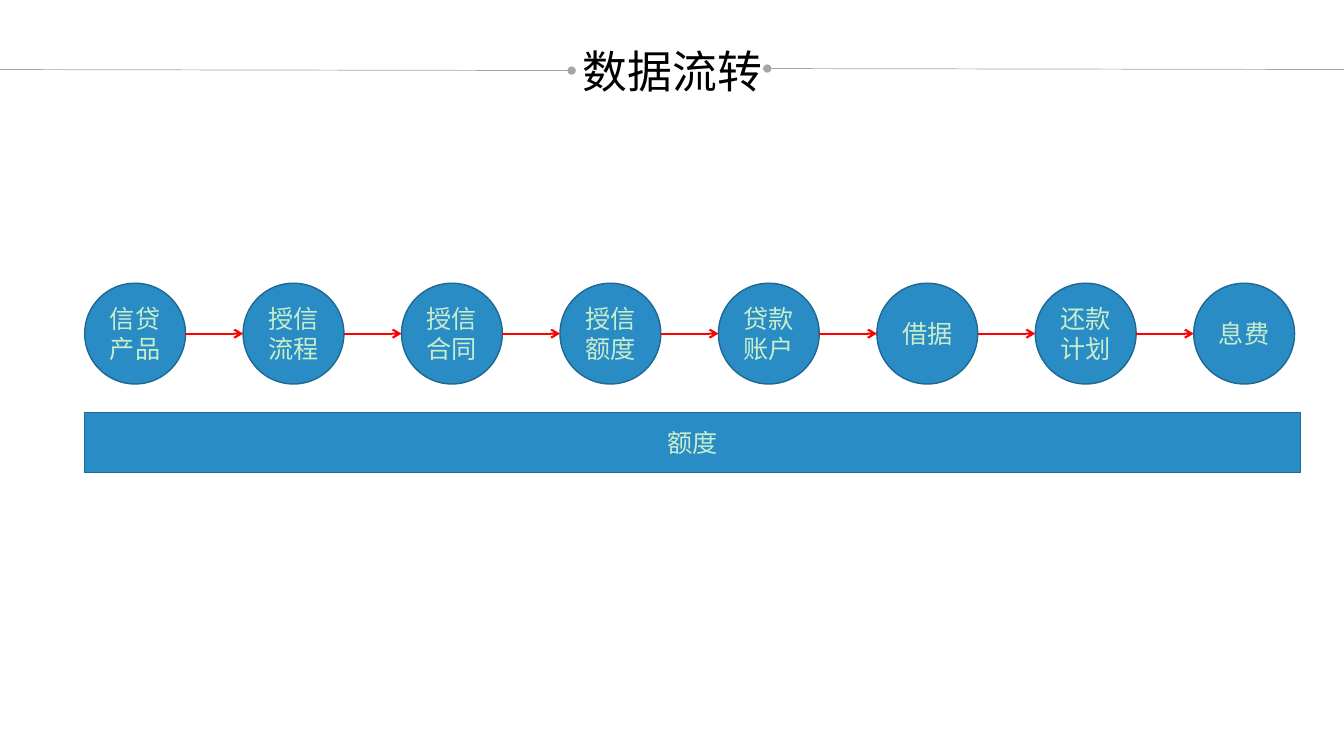
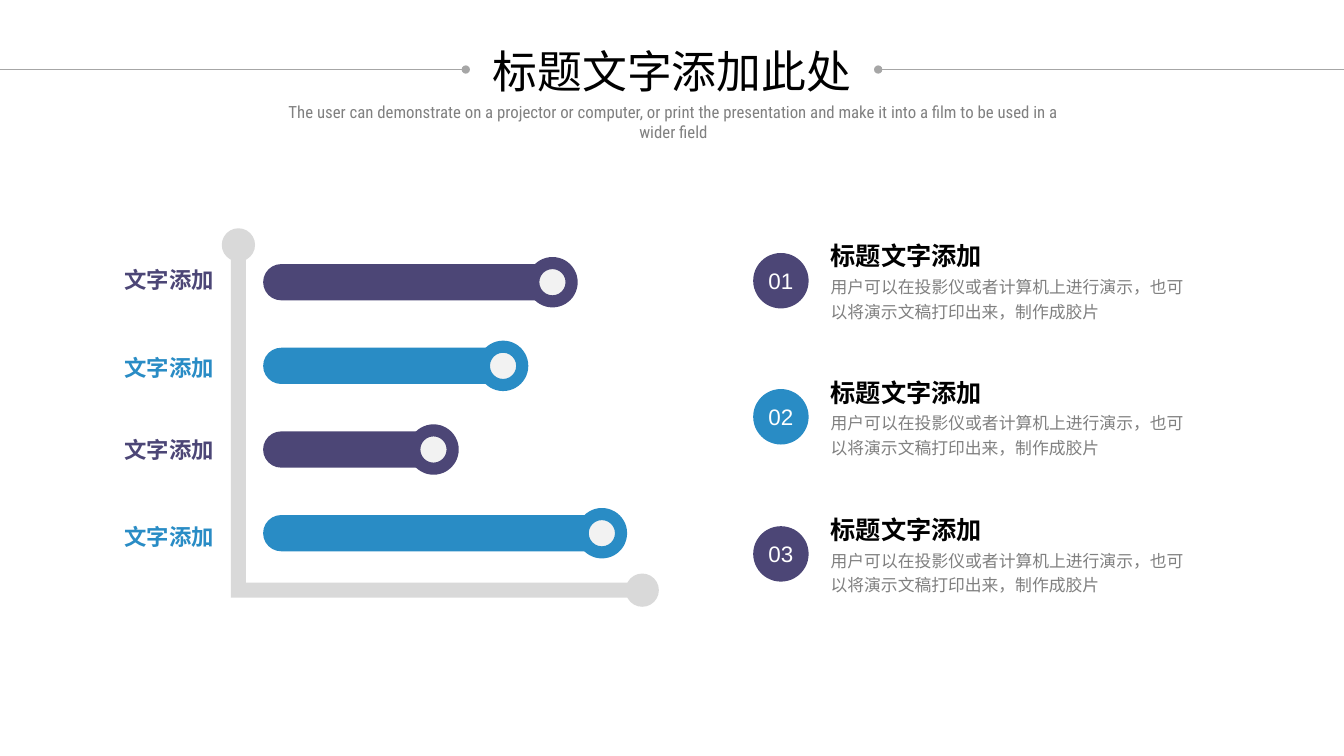
from dataclasses import dataclass
from typing import Optional

import lxml.etree
import pptx
import pptx.dml.color
import pptx.enum.shapes
import pptx.enum.text
import pptx.oxml.ns
import pptx.util

Inches = pptx.util.Inches
Pt = pptx.util.Pt
SHAPE = pptx.enum.shapes.MSO_SHAPE
ALIGN = pptx.enum.text.PP_ALIGN
ANCHOR = pptx.enum.text.MSO_ANCHOR

PURPLE, BLUE, DARK_BLUE = "4C4676", "298CC5", "1E6892"
PALE_GREEN, WHITE, BLACK = "C7EDCC", "FFFFFF", "000000"
RED, RULE_GRAY, AXIS_GRAY, TEXT_GRAY, KNOB_GRAY = "FF0000", "A6A6A6", "D9D9D9", "808080", "F2F2F2"
TITLE_FONT, BODY_FONT = "Roboto Condensed", "Arial"
SLIDE_W, SLIDE_H = 13.33, 7.5


@dataclass(frozen=True)
class Style:
    size: float
    color: str
    font: str = BODY_FONT
    bold: bool = False
    align: ALIGN = ALIGN.CENTER
    spacing: Optional[float] = None


@dataclass(frozen=True)
class Bar:
    label_top: float
    knob_x: float
    color: str


@dataclass(frozen=True)
class Item:
    number: str
    top: float
    color: str


TITLE = Style(32, BLACK, TITLE_FONT)
SUBTITLE = Style(12, TEXT_GRAY, TITLE_FONT)
STEP = Style(18, PALE_GREEN)
NUMBER = Style(16, WHITE)
HEADING = Style(18, BLACK, bold=True, align=ALIGN.JUSTIFY, spacing=1.2)
BODY = Style(12, TEXT_GRAY, align=ALIGN.JUSTIFY, spacing=1.2)

STEPS = ("信贷产品", "授信流程", "授信合同", "授信额度", "贷款账户", "借据", "还款计划", "息费")
BARS = (Bar(2.54, 5.48, PURPLE), Bar(3.41, 4.99, BLUE),
        Bar(4.22, 4.3, PURPLE), Bar(5.09, 5.97, BLUE))
ITEMS = (Item("01", 2.51, PURPLE), Item("02", 3.86, BLUE), Item("03", 5.22, PURPLE))
ITEM_TEXT = "用户可以在投影仪或者计算机上进行演示，也可以将演示文稿打印出来，制作成胶片"
SUBTITLE_TEXT = ("The user can demonstrate on a projector or computer, or print the presentation "
                 "and make it into a film to be used in a wider field")


def rgb(color: str) -> pptx.dml.color.RGBColor:
    return pptx.dml.color.RGBColor.from_string(color)


def write(sp, text: str, style: Style, wrap: bool = True) -> None:
    tf = sp.text_frame
    tf.text = text
    tf.word_wrap = wrap
    p = tf.paragraphs[0]
    p.alignment = style.align
    if style.spacing:
        p.line_spacing = style.spacing
    r = p.runs[0]
    r.font.size = Pt(style.size)
    r.font.name = style.font
    r.font.bold = style.bold
    r.font.color.rgb = rgb(style.color)


def add_text(s, left: float, top: float, width: float, height: float,
             text: str, style: Style, wrap: bool = True) -> None:
    sp = s.shapes.add_textbox(Inches(left), Inches(top), Inches(width), Inches(height))
    write(sp, text, style, wrap)


def paint(sp, fill: str, outline: Optional[str] = None) -> None:
    sp.shadow.inherit = False
    sp.fill.solid()
    sp.fill.fore_color.rgb = rgb(fill)
    if outline:
        sp.line.color.rgb = rgb(outline)
        sp.line.width = Pt(1)
    else:
        sp.line.fill.background()


def add_shape(s, kind: SHAPE, left: float, top: float, width: float, height: float,
              fill: str, outline: Optional[str] = None):
    sp = s.shapes.add_shape(kind, Inches(left), Inches(top), Inches(width), Inches(height))
    paint(sp, fill, outline)
    return sp


def add_disc(s, x: float, y: float, size: float, fill: str, kind: SHAPE = SHAPE.OVAL):
    return add_shape(s, kind, x - size / 2, y - size / 2, size, size, fill)


def add_line(s, x1: float, y1: float, x2: float, y2: float,
             color: str, width: float, end: str) -> None:
    line = s.shapes.add_connector(pptx.enum.shapes.MSO_CONNECTOR.STRAIGHT,
                                  Inches(x1), Inches(y1), Inches(x2), Inches(y2))
    line.line.color.rgb = rgb(color)
    line.line.width = Pt(width)
    qn = pptx.oxml.ns.qn
    sp_pr = line._element.spPr
    lxml.etree.SubElement(sp_pr.find(qn("a:ln")), qn("a:tailEnd"), type=end)
    lxml.etree.SubElement(sp_pr, qn("a:effectLst"))


def add_title_slide(prs, title: str, left: float, width: float,
                    left_rule: tuple, right_rule: tuple):
    s = prs.slides.add_slide(prs.slide_layouts[6])
    s.background.fill.solid()
    s.background.fill.fore_color.rgb = rgb(WHITE)
    for edge, (x, y) in ((0, left_rule), (SLIDE_W, right_rule)):
        add_line(s, edge, 0.69, x, y, RULE_GRAY, 0.5, "oval")
    add_text(s, left, 0.38, width, 0.64, title, TITLE, wrap=False)
    return s


def build_flow(prs) -> None:
    s = add_title_slide(prs, "数据流转", 5.67, 2, (5.67, 0.7), (7.61, 0.68))
    left, top, size = 0.84, 2.81, 1
    pitch = (11.84 - left) / (len(STEPS) - 1)
    for i, text in enumerate(STEPS):
        x = left + i * pitch
        sp = add_shape(s, SHAPE.OVAL, x, top, size, size, BLUE, DARK_BLUE)
        write(sp, text, STEP)
        if i:
            y = top + size / 2
            add_line(s, x - pitch + size, y, x, y, RED, 1.5, "arrow")
    sp = add_shape(s, SHAPE.RECTANGLE, left, 4.09, 12.06, 0.6, BLUE, DARK_BLUE)
    write(sp, "额度", STEP)


def add_axis(s) -> None:
    left, top, right, bottom, thick = 2.29, 2.43, 6.37, 5.93, 0.15
    corners = ((left, bottom), (left, top), (left + thick, top),
               (left + thick, bottom - thick), (right, bottom - thick))
    fb = s.shapes.build_freeform(Inches(right), Inches(bottom))
    fb.add_line_segments([(Inches(x), Inches(y)) for x, y in corners], close=True)
    paint(fb.convert_to_shape(), AXIS_GRAY)
    for x, y in ((left + thick / 2, top), (right, bottom - thick / 2)):
        add_disc(s, x, y, 0.33, AXIS_GRAY)


def add_bar(s, bar: Bar, y: float) -> None:
    left, height = 2.61, 0.36
    sp = add_shape(s, SHAPE.ROUNDED_RECTANGLE, left, y - height / 2,
                   bar.knob_x + 0.14 - left, height, bar.color)
    sp.adjustments[0] = 0.5
    add_disc(s, bar.knob_x, y, 0.37, KNOB_GRAY)
    ring = add_disc(s, bar.knob_x, y, 0.5, bar.color, SHAPE.DONUT)
    ring.adjustments[0] = 0.24
    label = Style(16, bar.color, bold=True, align=ALIGN.RIGHT, spacing=1.2)
    add_text(s, 1.1, bar.label_top, 1.12, 0.42, "文字添加", label)


def add_item(s, item: Item) -> None:
    sp = add_shape(s, SHAPE.OVAL, 7.47, item.top, 0.55, 0.55, item.color)
    write(sp, item.number, NUMBER, wrap=False)
    sp.text_frame.vertical_anchor = ANCHOR.MIDDLE
    add_text(s, 8.14, item.top + 0.15, 3.7, 0.59, ITEM_TEXT, BODY)
    add_text(s, 8.14, item.top - 0.23, 2.28, 0.47, "标题文字添加", HEADING)


def build_bars(prs) -> None:
    s = add_title_slide(prs, "标题文字添加此处", 4.77, 3.79, (4.62, 0.69), (8.71, 0.69))
    add_text(s, 2.75, 0.96, 7.86, 0.3, SUBTITLE_TEXT, SUBTITLE)
    add_axis(s)
    for i, bar in enumerate(BARS):
        add_bar(s, bar, 2.8 + 0.83 * i)
    for item in ITEMS:
        add_item(s, item)


def main() -> None:
    prs = pptx.Presentation()
    prs.slide_width, prs.slide_height = Inches(SLIDE_W), Inches(SLIDE_H)
    build_flow(prs)
    build_bars(prs)
    prs.save("out.pptx")


if __name__ == "__main__":
    main()
